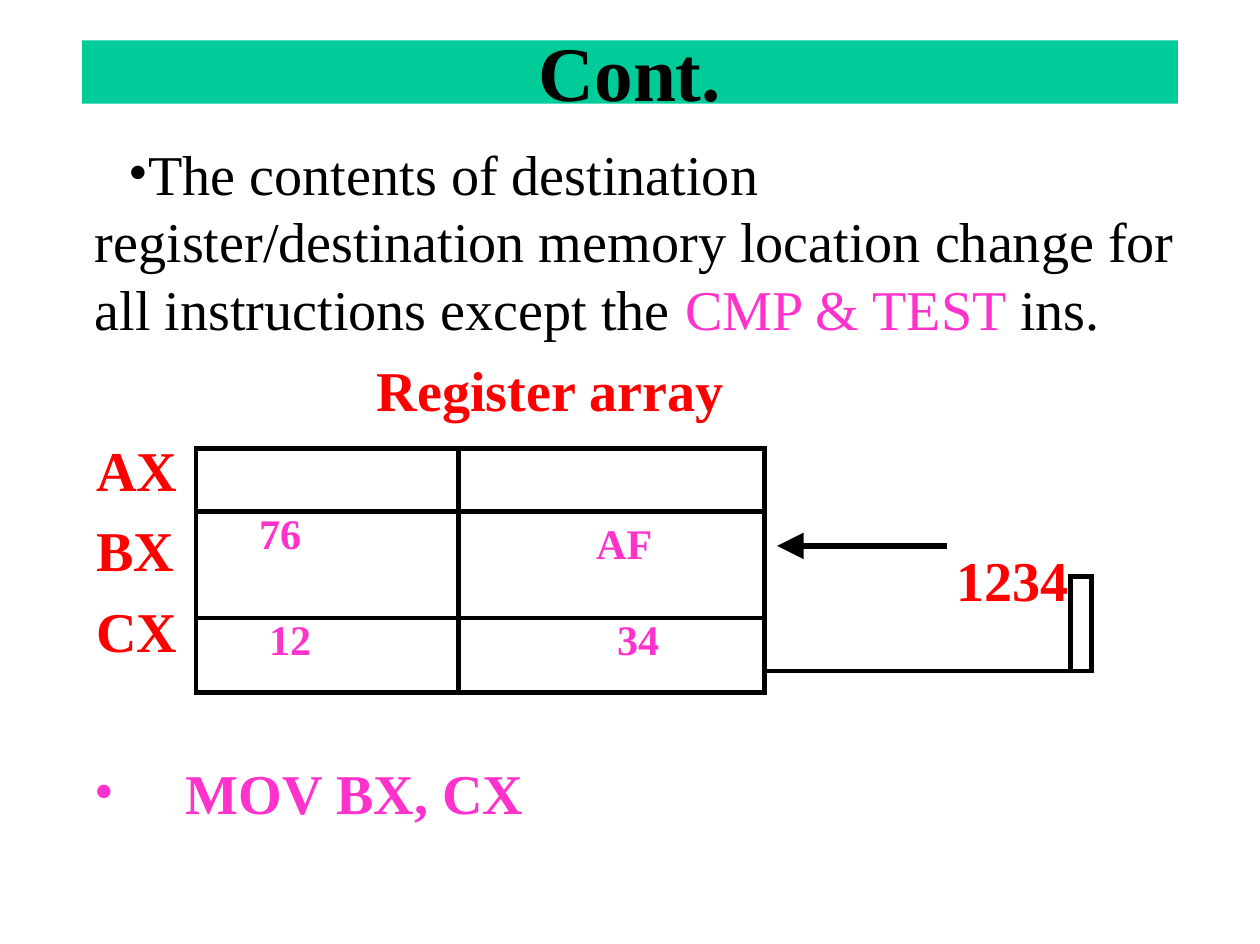
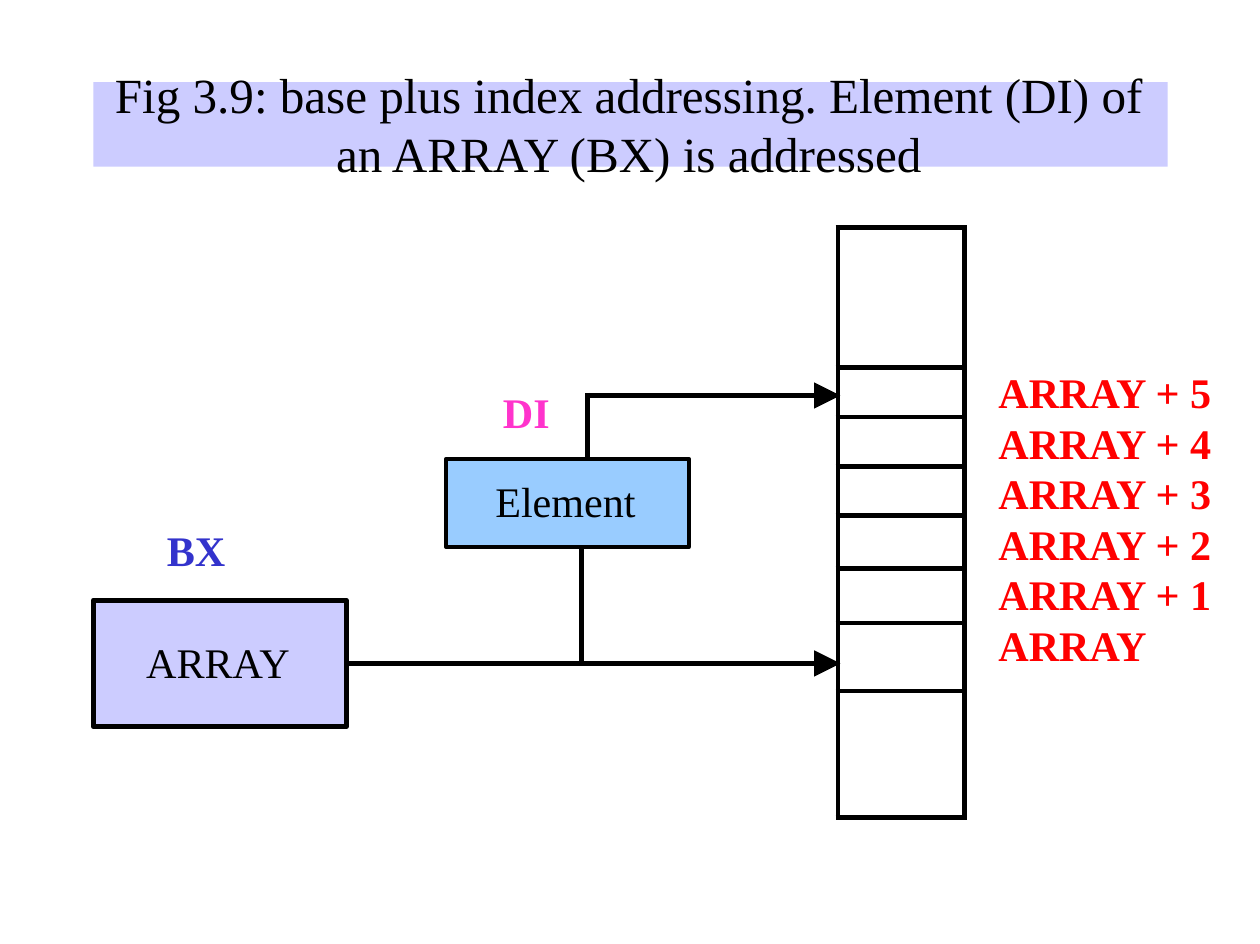
from dataclasses import dataclass

from lxml import etree
from pptx import Presentation
from pptx.dml.color import RGBColor
from pptx.enum.shapes import MSO_CONNECTOR as CONN, MSO_SHAPE as SHAPE
from pptx.enum.text import MSO_ANCHOR as ANCHOR, MSO_AUTO_SIZE as AUTO, PP_ALIGN as ALIGN
from pptx.oxml.ns import qn
from pptx.util import Inches, Pt

FONT = "Times New Roman"
COLORS = {"black": "000000", "green": "00CC99", "lilac": "CCCCFF", "sky": "99CCFF",
          "pink": "FF33CC", "red": "FF0000", "blue": "3333CC"}
NO_GRID_STYLE = "{2D5ABB26-0587-4C30-8999-92F81FD0307C}"
ROW_LABELS = ["AX", "BX", "CX"]


@dataclass
class Box:
    x: float
    y: float
    w: float
    h: float


@dataclass
class Line:
    x1: float
    y1: float
    x2: float
    y2: float
    arrow: bool = False


@dataclass
class Cell:
    row: int
    col: int
    rows: int = 1
    cols: int = 1
    text: str = ""
    sides: str = "LRTB"
    indent: float = 0
    top: float = 0
    size: float = 24
    color: str = "pink"
    align: ALIGN = ALIGN.LEFT
    spacing: float | None = None


def rgb(name: str) -> RGBColor:
    return RGBColor.from_string(COLORS[name])


# Shared text and shape helpers
def style(p, size: float, color: str = "black", bold: bool = False, align=ALIGN.LEFT) -> None:
    p.alignment = align
    f = p.font
    f.name, f.size, f.bold = FONT, Pt(size), bold
    f.color.rgb = rgb(color)


def set_indent(p, left: float, first: float = 0, bullet: bool = False) -> None:
    pPr = p._p.get_or_add_pPr()
    pPr.set("marL", str(Inches(left)))
    pPr.set("indent", str(Inches(first)))
    if bullet:
        defRPr = pPr.find(qn("a:defRPr"))
        defRPr.addprevious(etree.Element(qn("a:buFont"), typeface=FONT))
        defRPr.addprevious(etree.Element(qn("a:buChar"), char="•"))


def reset_frame(tf, anchor=ANCHOR.TOP) -> None:
    tf.word_wrap, tf.auto_size, tf.vertical_anchor = True, AUTO.NONE, anchor
    tf.margin_left = tf.margin_right = tf.margin_top = tf.margin_bottom = 0


def add_text(s, box: Box):
    sp = s.shapes.add_textbox(Inches(box.x), Inches(box.y), Inches(box.w), Inches(box.h))
    reset_frame(sp.text_frame)
    return sp.text_frame


def add_label(s, box: Box, text: str, color: str) -> None:
    p = add_text(s, box).paragraphs[0]
    p.text = text
    style(p, 24, color, True)


def add_rect(s, box: Box, fill: str):
    sp = s.shapes.add_shape(SHAPE.RECTANGLE, Inches(box.x), Inches(box.y),
                            Inches(box.w), Inches(box.h))
    sp.shadow.inherit = False
    sp.fill.solid()
    sp.fill.fore_color.rgb = rgb(fill)
    sp.line.fill.background()
    return sp


def add_box(s, box: Box, text: str, fill: str, width: float) -> None:
    sp = add_rect(s, box, fill)
    sp.line.color.rgb, sp.line.width = rgb("black"), Pt(width)
    tf = sp.text_frame
    reset_frame(tf, ANCHOR.MIDDLE)
    tf.margin_right = tf.margin_bottom = Inches(0.03)
    p = tf.paragraphs[0]
    p.text = text
    style(p, 24, align=ALIGN.CENTER)


def add_line(s, line: Line) -> None:
    c = s.shapes.add_connector(CONN.STRAIGHT, Inches(line.x1), Inches(line.y1),
                               Inches(line.x2), Inches(line.y2))
    c.line.color.rgb, c.line.width = rgb("black"), Pt(3)
    if line.arrow:
        etree.SubElement(c.line._get_or_add_ln(), qn("a:tailEnd"),
                         type="triangle", w="lg", len="lg")
    etree.SubElement(c._element.spPr, qn("a:effectLst"))


def add_titled_slide(prs, title: str, box: Box, band: Box, fill: str, size: float,
                     bold: bool = False):
    s = prs.slides.add_slide(prs.slide_layouts[5])
    sp = s.shapes.title
    # The band lies behind the title
    sp._element.addprevious(add_rect(s, band, fill)._element)
    sp.left, sp.top = Inches(box.x), Inches(box.y)
    sp.width, sp.height = Inches(box.w), Inches(box.h)
    reset_frame(sp.text_frame, ANCHOR.MIDDLE)
    p = sp.text_frame.paragraphs[0]
    p.text = title
    style(p, size, bold=bold, align=ALIGN.CENTER)
    return s


# Tables
def set_borders(cell, sides: str) -> None:
    tcPr = cell._tc.get_or_add_tcPr()
    for i, side in enumerate(x for x in "LRTB" if x in sides):
        ln = etree.Element(qn(f"a:ln{side}"), w=str(Pt(3)))
        fill = etree.SubElement(ln, qn("a:solidFill"))
        etree.SubElement(fill, qn("a:srgbClr"), val=COLORS["black"])
        tcPr.insert(i, ln)


def add_grid(s, x: float, y: float, cols: list[float], rows: list[float],
             cells: list[Cell]) -> None:
    frame = s.shapes.add_table(len(rows), len(cols), Inches(x), Inches(y),
                               Inches(sum(cols)), Inches(sum(rows)))
    table = frame.table
    table.first_row = table.horz_banding = False
    table._tbl.tblPr.find(qn("a:tableStyleId")).text = NO_GRID_STYLE
    for col, w in zip(table.columns, cols):
        col.width = Inches(w)
    for row, h in zip(table.rows, rows):
        row.height = Inches(h)
    for cell in table.iter_cells():
        cell.margin_left = cell.margin_right = cell.margin_top = cell.margin_bottom = 0
        cell.fill.background()
        style(cell.text_frame.paragraphs[0], 8)
    for item in cells:
        cell = table.cell(item.row, item.col)
        if item.rows * item.cols > 1:
            cell.merge(table.cell(item.row + item.rows - 1, item.col + item.cols - 1))
        set_borders(cell, item.sides)
        if item.text:
            cell.margin_top = Inches(item.top)
            p = cell.text_frame.paragraphs[0]
            p.text = item.text
            style(p, item.size, item.color, True, item.align)
            set_indent(p, item.indent)
            if item.spacing:
                p.line_spacing = Pt(item.spacing)


def build_registers(prs) -> None:
    s = add_titled_slide(prs, "Cont.", Box(4.25, 0.17, 1.47, 0.77),
                         Box(0.65, 0.32, 8.67, 0.5), "green", 44, True)

    # Statement, heading and row labels
    tf = add_text(s, Box(0.74, 1.1, 8.57, 4.18))
    p = tf.paragraphs[0]
    style(p, 32)
    set_indent(p, 0.01, 0.27, bullet=True)
    for text, color in [("The contents of destination register/destination memory location "
                         "change for all instructions except the ", "black"),
                        ("CMP & TEST ", "pink"), ("ins.", "black")]:
        r = p.add_run()
        r.text = text
        r.font.color.rgb = rgb(color)
    p = tf.add_paragraph()
    p.text = "Register array"
    p.space_before = Pt(8)
    style(p, 32, "red", True)
    set_indent(p, 2.24)
    for name in ROW_LABELS:
        p = tf.add_paragraph()
        p.text = name
        p.line_spacing = 1.19
        style(p, 32, "red", True)
        set_indent(p, 0.02)

    # Instruction
    p = add_text(s, Box(0.75, 6, 3.42, 0.56)).paragraphs[0]
    p.text = "MOV BX, CX"
    style(p, 32, "pink", True)
    set_indent(p, 0.72, -0.72, bullet=True)

    # Register array with the path on its right
    add_grid(s, 1.55, 3.55, [2.08, 2.42, 2.42, 0.17], [0.5, 0.51, 0.33, 0.42, 0.17], [
        Cell(0, 0), Cell(0, 1), Cell(0, 2, 2, 2, sides="L"),
        Cell(1, 0, 2, text="76", indent=0.5),
        Cell(1, 1, 2, text="AF", indent=0.2, top=0.08, align=ALIGN.CENTER),
        Cell(2, 2, 2, text="1234", sides="LRB", indent=1.52, size=32, color="red",
             spacing=21.6),
        Cell(2, 3, 2),
        Cell(3, 0, 2, text="12", indent=0.58),
        Cell(3, 1, 2, text="34", indent=0.42, align=ALIGN.CENTER),
        Cell(4, 2, 1, 2, sides="LT"),
    ])
    add_line(s, Line(7.49, 4.32, 6.15, 4.32, arrow=True))


def build_addressing(prs) -> None:
    s = add_titled_slide(prs, "Fig 3.9: base plus index addressing. Element (DI) of "
                         "an ARRAY (BX) is addressed", Box(0.89, 0.49, 8.17, 0.97),
                         Box(0.74, 0.65, 8.5, 0.67), "lilac", 28)

    # Memory column and its addresses
    rows = [1.11, 0.39, 0.39, 0.39, 0.42, 0.43, 0.54, 1]
    add_grid(s, 6.63, 1.8, [1], rows, [Cell(i, 0) for i in range(len(rows))])
    tf = add_text(s, Box(7.9, 2.9, 1.76, 2.42))
    for n in range(5, -1, -1):
        p = tf.paragraphs[0] if n == 5 else tf.add_paragraph()
        p.text = f"ARRAY + {n}" if n else "ARRAY"
        p.line_spacing = Pt(28.8)
        style(p, 24, "red", True)

    # Base and index registers
    add_box(s, Box(0.74, 4.75, 2, 1), "ARRAY", "lilac", 3)
    add_box(s, Box(3.53, 3.63, 1.92, 0.7), "Element", "sky", 2.25)
    add_label(s, Box(1.32, 4.15, 0.5, 0.43), "BX", "blue")
    add_label(s, Box(3.98, 3.06, 0.4, 0.43), "DI", "pink")

    # Address paths
    for line in [Line(4.65, 3.13, 6.65, 3.13, arrow=True), Line(4.65, 3.11, 4.65, 3.62),
                 Line(2.74, 5.25, 6.65, 5.25, arrow=True), Line(4.6, 4.32, 4.6, 5.24)]:
        add_line(s, line)


def main() -> None:
    prs = Presentation()
    prs.slide_width, prs.slide_height = Inches(9.97), Inches(7.47)
    build_registers(prs)
    build_addressing(prs)
    prs.save("out.pptx")


if __name__ == "__main__":
    main()
